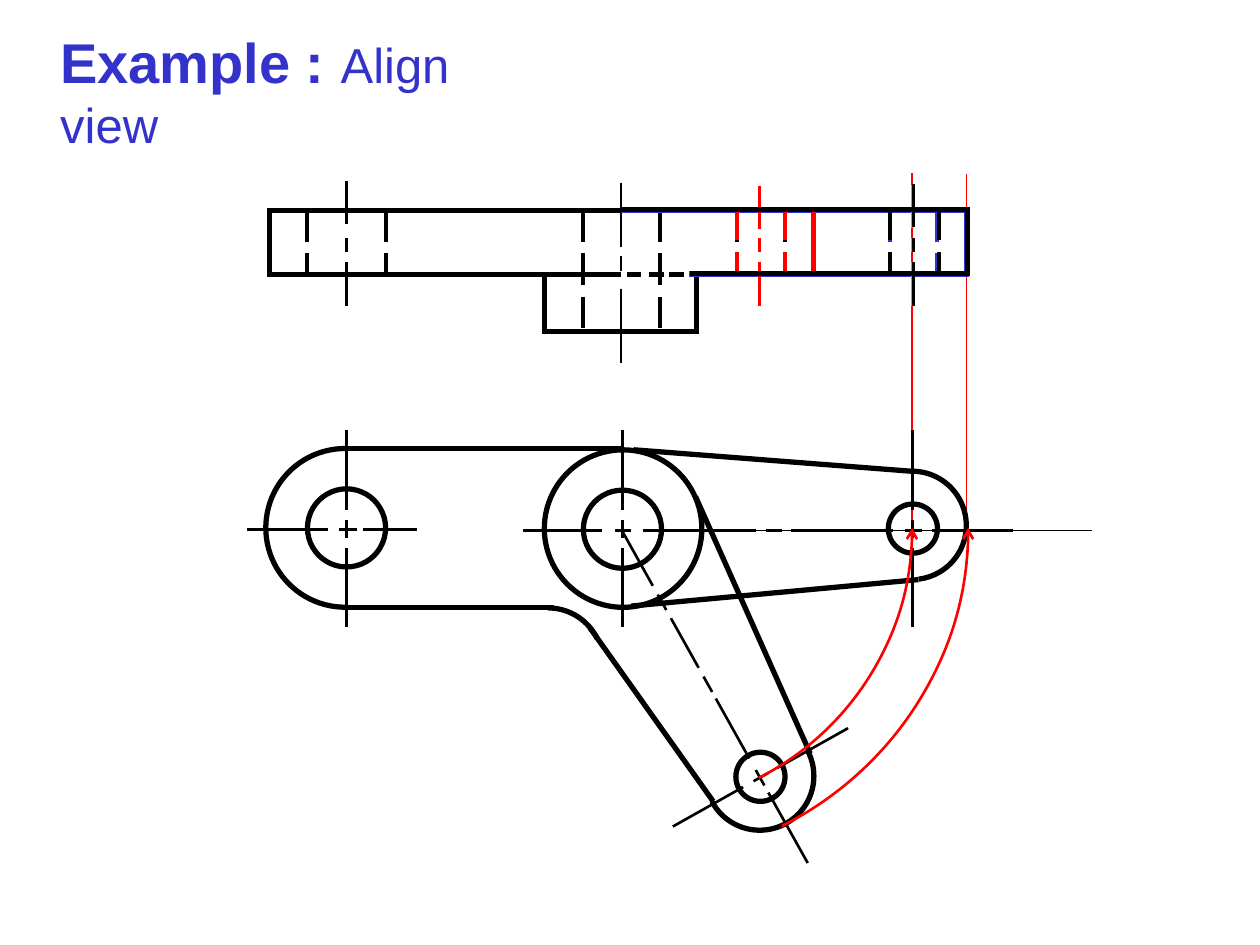
from math import cos, radians, sin

from pptx import Presentation
from pptx.dml.color import RGBColor
from pptx.enum.dml import MSO_LINE
from pptx.enum.shapes import MSO_CONNECTOR, MSO_SHAPE
from pptx.enum.text import MSO_AUTO_SIZE
from pptx.oxml.ns import qn
from pptx.util import Inches, Pt
from lxml.etree import SubElement

COLUMNS, ROWS = 100, 75
BLACK, RED, BLUE, PALE_BLUE = "000000", "FF0000", "3333CC", "7E9CE8"
OUTLINE, HIDDEN, CENTRE, THIN = 3, 2.25, 1.5, 1


def color(hex_value):
    return RGBColor.from_string(hex_value)


class Drawing:
    """Draws on one slide; lengths are columns and rows of a square grid."""

    font = "Arial"

    def __init__(self, deck):
        self.page = deck.slides.add_slide(deck.slide_layouts[6])
        self.shapes = self.page.shapes
        self.unit = deck.slide_width / COLUMNS

    def grid(self, *lengths):
        return [round(length * self.unit) for length in lengths]

    def pen(self, shape, width, ink):
        shape.line.color.rgb = color(ink)
        shape.line.width = Pt(width)

    def hollow(self, shape, width, ink):
        shape.shadow.inherit = False
        shape.fill.background()
        self.pen(shape, width, ink)
        return shape

    def line(self, x1, y1, x2, y2, width=OUTLINE, ink=BLACK):
        connector = self.shapes.add_connector(
            MSO_CONNECTOR.STRAIGHT, *self.grid(x1, y1, x2, y2))
        self.pen(connector, width, ink)
        SubElement(connector._element.spPr, qn("a:effectLst"))
        return connector

    def hidden_edge(self, x, top, bottom, ink=BLACK):
        edge = self.line(x, top, x, bottom, HIDDEN, ink)
        edge.line.dash_style = MSO_LINE.LONG_DASH

    def strokes(self, x, y, angle, spans, width=CENTRE, ink=BLACK):
        """Lays strokes along a ray; each span is a pair of distances from x, y."""
        dx, dy = cos(radians(angle)), sin(radians(angle))
        for start, end in spans:
            self.line(x + start * dx, y + start * dy,
                      x + end * dx, y + end * dy, width, ink)

    def polyline(self, points, ink=BLACK):
        corners = [self.grid(*point) for point in points]
        builder = self.shapes.build_freeform(*corners[0])
        builder.add_line_segments(corners[1:], close=False)
        shape = self.hollow(builder.convert_to_shape(), OUTLINE, ink)
        SubElement(shape.line._get_or_add_ln(), qn("a:miter"), lim="800000")

    def round_shape(self, kind, x, y, rx, ry, width, ink):
        shape = self.shapes.add_shape(
            kind, *self.grid(x - rx, y - ry, 2 * rx, 2 * ry))
        return self.hollow(shape, width, ink)

    def circle(self, x, y, radius):
        self.round_shape(MSO_SHAPE.OVAL, x, y, radius, radius, OUTLINE, BLACK)

    def arc(self, x, y, rx, ry, start, end, width=OUTLINE, ink=BLACK):
        """Draws clockwise between two angles in degrees, 0 being to the right."""
        shape = self.round_shape(MSO_SHAPE.ARC, x, y, rx, ry, width, ink)
        for index, angle in enumerate((start, end)):
            shape.adjustments[index] = angle * 0.6
        return shape

    def swing(self, x, y, rx, ry, end):
        shape = self.arc(x, y, rx, ry, 0, end, CENTRE, RED)
        SubElement(shape.line._get_or_add_ln(), qn("a:headEnd"), type="arrow")

    def side_arm(self, inner, outer, top, holes, axis, axis_top,
                 ink=BLACK, axis_ink=None):
        """Draws an arm from the side: open outline, hole edges and hole axis."""
        bottom = top + 5.1
        self.polyline([(inner, bottom), (outer, bottom), (outer, top), (49.3, top)], ink)
        for x in holes:
            self.hidden_edge(x, top, bottom + 0.1, ink)
        spans = [(axis_top, axis_top + 3.4), (18.9, 20), (20.8, 24.3)]
        self.strokes(axis, 0, 90, spans, ink=axis_ink or ink)

    def title(self, x, y, width, height, spans):
        box = self.shapes.add_textbox(*self.grid(x, y, width, height))
        frame = box.text_frame
        frame.word_wrap = False
        frame.auto_size = MSO_AUTO_SIZE.SHAPE_TO_FIT_TEXT
        para = frame.paragraphs[0]
        para.font.name = self.font
        para.font.color.rgb = color(BLUE)
        for text, size, bold in spans:
            span = para.add_run()
            span.text = text
            span.font.size = Pt(size)
            span.font.bold = bold


def draw_side_view(art):
    art.side_arm(54.7, 64.6, 16.7, (58.5, 62.3), 60.3, 14.8)
    art.side_arm(49.3, 21.4, 16.7, (24.4, 30.6), 27.5, 14.4)
    art.polyline([(43.2, 21.8), (43.2, 26.3), (55.3, 26.3), (55.3, 21.7)])
    art.strokes(49.3, 0, 90, [(14.5, 19.6), (20.3, 21.5), (22.9, 28.8)])
    for x in (46.3, 52.4):
        art.hidden_edge(x, 16.7, 26.3)
    art.side_arm(54.7, 76.7, 16.7, (70.6, 74.4), 72.4, 14.7, BLUE, PALE_BLUE)
    art.side_arm(54.7, 64.6, 16.6, (58.5, 62.3), 60.3, 14.8, RED)
    art.side_arm(54.8, 76.8, 16.6, (70.6, 74.5), 72.5, 14.6)
    art.strokes(0, 21.8, 0, [(49.8, 50.9), (51.5, 52.7), (53.1, 54.3)], OUTLINE)


def draw_lower_arm(art):
    art.line(55.2, 39.4, 64.3, 59.8)
    art.line(46.8, 49.8, 56.6, 63.6)
    art.arc(60.3, 61.6, 4.3, 4.3, 331, 152)
    art.arc(43.5, 52.6, 4.35, 4.35, 270, 334)
    art.circle(60.35, 61.65, 1.95)
    art.strokes(49.3, 42, 60.8, [(0, 5.15), (5.95, 7.35), (8.1, 12.6), (13.4, 14.8),
                                 (15.4, 20.85), (21.9, 23.3), (23.95, 30.35)])
    art.strokes(53.4, 65.6, -29.3, [(0, 6.4), (7.35, 8.7), (9.5, 15.95)])


def draw_front_view(art):
    art.arc(27.4, 41.9, 6.3, 6.3, 90, 270)
    art.line(27.3, 35.6, 49.3, 35.6)
    art.line(27.4, 48.2, 44, 48.2)
    for x, y, radius in ((27.5, 41.9, 3.1), (49.4, 42, 3.1),
                         (49.45, 41.95, 6.25), (72.45, 41.95, 1.95)):
        art.circle(x, y, radius)
    art.line(50.3, 35.7, 72.3, 37.4)
    art.line(50.1, 48.1, 72.9, 46)
    art.arc(72.4, 41.7, 4.3, 4.3, 270, 83)
    for x in (27.5, 49.4, 72.4):
        art.strokes(x, 0, 90, [(34.1, 40.5), (41.3, 42.7), (43.5, 49.8)])
    art.strokes(0, 42, 0, [(19.6, 26), (26.9, 28.3), (28.8, 33.1)])
    art.strokes(0, 42.1, 0, [(41.5, 47.8), (48.8, 50.1), (51, 60), (60.8, 62.1),
                             (62.8, 70.9), (71.8, 73.2), (74, 80.4)])
    art.line(51.7, 42.1, 86.7, 42.1, 0.75)
    draw_lower_arm(art)


def main():
    deck = Presentation()
    deck.slide_width, deck.slide_height = Inches(COLUMNS / 10), Inches(ROWS / 10)
    art = Drawing(deck)
    art.title(3.8, 1.7, 41.7, 6.4, [("Example : ", 32, True), ("Align view", 28, False)])
    art.line(72.4, 41.9, 72.4, 13.7, THIN, RED)
    art.line(76.7, 42, 76.7, 13.8, THIN, RED)
    draw_side_view(art)
    draw_front_view(art)
    art.swing(49.85, 41.9, 22.55, 22.35, 62.4)
    art.swing(49.3, 41.9, 27.55, 26.7, 61.7)
    deck.save("out.pptx")


if __name__ == "__main__":
    main()
